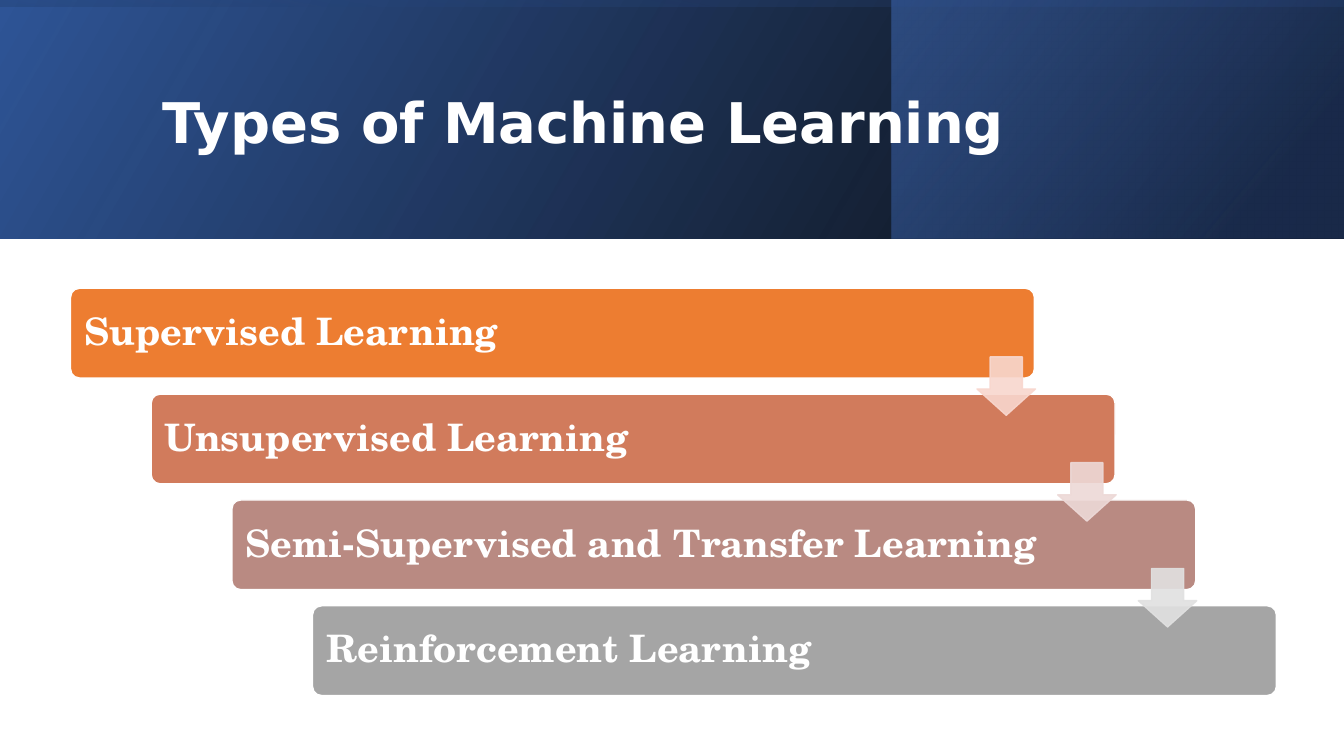
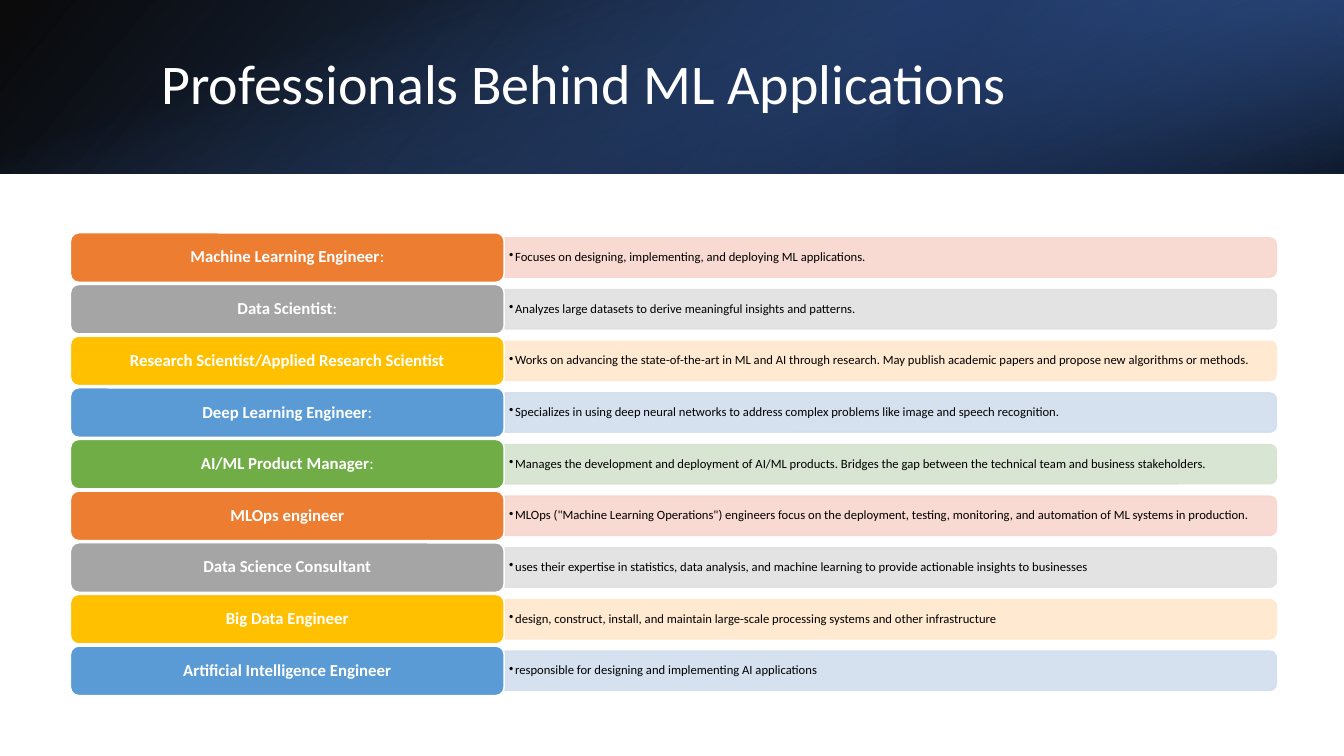
"""Build two slides on machine learning: its types and the professionals behind it."""
from lxml import etree
from pptx import Presentation
from pptx.dml.color import RGBColor
from pptx.enum import shapes, text
from pptx.oxml.ns import qn
from pptx.util import Inches, Pt

WHITE = RGBColor(0xFF, 0xFF, 0xFF)
BLACK = RGBColor(0, 0, 0)
NAVY = RGBColor(0x20, 0x38, 0x64)
DEEP_BLUE = RGBColor(0x2F, 0x55, 0x97)
ROYAL_BLUE = RGBColor(0x44, 0x72, 0xC4)
ORANGE = RGBColor(0xED, 0x7D, 0x31)
RUST = RGBColor(0xD1, 0x7B, 0x5C)
ROSE = RGBColor(0xB9, 0x8A, 0x82)
GRAY = RGBColor(0xA5, 0xA5, 0xA5)
GOLD = RGBColor(0xFF, 0xC0, 0x00)
BLUE = RGBColor(0x5B, 0x9B, 0xD5)
GREEN = RGBColor(0x70, 0xAD, 0x47)
PALE_ORANGE = RGBColor(0xF8, 0xD7, 0xCE)
PALE_ROSE = RGBColor(0xED, 0xD9, 0xD7)
PALE_GRAY = RGBColor(0xE1, 0xE1, 0xE1)
PALE_GOLD = RGBColor(0xFF, 0xE8, 0xCC)
PALE_BLUE = RGBColor(0xD2, 0xDE, 0xEF)
PALE_GREEN = RGBColor(0xD5, 0xE3, 0xCF)

SLIDE_WIDTH, SLIDE_HEIGHT = 13.33, 7.5
LEFT_EDGE = 0.7
SHAPE = shapes.MSO_SHAPE
ALIGN = text.PP_ALIGN

LEARNING_TYPES = [
    ("Supervised Learning", ORANGE),
    ("Unsupervised Learning", RUST),
    ("Semi-Supervised and Transfer Learning", ROSE),
    ("Reinforcement Learning", GRAY),
]
ARROW_COLORS = [PALE_ORANGE, PALE_ROSE, PALE_GRAY]

ROLES = [
    ("Machine Learning Engineer", ":",
     "Focuses on designing, implementing, and deploying ML applications."),
    ("Data Scientist", ":",
     "Analyzes large datasets to derive meaningful insights and patterns."),
    ("Research Scientist/Applied Research Scientist", "",
     "Works on advancing the state-of-the-art in ML and AI through research. "
     "May publish academic papers and propose new algorithms or methods."),
    ("Deep Learning Engineer", ":",
     "Specializes in using deep neural networks to address complex problems "
     "like image and speech recognition."),
    ("AI/ML Product Manager", ":",
     "Manages the development and deployment of AI/ML products. "
     "Bridges the gap between the technical team and business stakeholders."),
    ("MLOps engineer", "",
     'MLOps ("Machine Learning Operations") engineers focus on the deployment, '
     "testing, monitoring, and automation of ML systems in production."),
    ("Data Science Consultant", "",
     "uses their expertise in statistics, data analysis, and machine learning "
     "to provide actionable insights to businesses"),
    ("Big Data Engineer", "",
     "design, construct, install, and maintain large-scale processing systems "
     "and other infrastructure"),
    ("Artificial Intelligence Engineer", "",
     "responsible for designing and implementing AI applications"),
]
ROLE_COLORS = [(ORANGE, PALE_ORANGE), (GRAY, PALE_GRAY), (GOLD, PALE_GOLD),
               (BLUE, PALE_BLUE), (GREEN, PALE_GREEN)]

BASE_STOPS = [(0, BLACK, 96), (100, DEEP_BLUE, 100)]


def set_alpha(shape, *alphas):
    """Give the shape's colours, in order, their opacity in percent."""
    for color, alpha in zip(shape._element.spPr.iter(qn("a:srgbClr")), alphas):
        etree.SubElement(color, qn("a:alpha")).set("val", str(alpha * 1000))


def add_block(slide, kind, box, color=None, line=None, adjustments=()):
    """Add a preset shape without shadow at box (left, top, width, height)."""
    shape = slide.shapes.add_shape(kind, *map(Inches, box))
    shape.shadow.inherit = False
    for index, value in enumerate(adjustments):
        shape.adjustments[index] = value
    if color is not None:
        shape.fill.solid()
        shape.fill.fore_color.rgb = color
    if line is None:
        shape.line.fill.background()
    else:
        shape.line.color.rgb = line
        shape.line.width = Pt(1)
    return shape


def write(shape, words, *, size, font="Calibri", color=WHITE, bold=False, tail="",
          align=ALIGN.LEFT, inset=(0.1, 0.05), bullet=None):
    """Put one formatted paragraph, with an optional regular-weight tail, in a shape."""
    frame = shape.text_frame
    frame.word_wrap = True
    frame.vertical_anchor = text.MSO_ANCHOR.MIDDLE
    frame.margin_left = frame.margin_right = Inches(inset[0])
    frame.margin_top = frame.margin_bottom = Inches(inset[1])
    paragraph = frame.paragraphs[0]
    paragraph.alignment = align
    paragraph.line_spacing = 0.9
    if bullet:
        properties = paragraph._p.get_or_add_pPr()
        properties.set("marL", str(Inches(0.06)))
        properties.set("indent", str(-Inches(0.06)))
        etree.SubElement(properties, qn("a:buChar")).set("char", bullet)
    for part, weight in ((words, bold), (tail, False)):
        if part:
            run = paragraph.add_run()
            run.text = part
            run.font.name, run.font.size = font, Pt(size)
            run.font.bold = weight
            run.font.color.rgb = color


def add_band_layer(slide, box, stops, angle, rotation=0, flip=True):
    """Add one translucent gradient layer of the title band."""
    layer = add_block(slide, SHAPE.RECTANGLE, box)
    layer.fill.gradient()
    layer.fill.gradient_angle = 360 - angle
    for stop, (position, color, _) in zip(layer.fill.gradient_stops, stops):
        stop.position = position / 100
        stop.color.rgb = color
    set_alpha(layer, *(alpha for _, _, alpha in stops))
    layer.rotation = rotation
    if flip:
        layer._element.spPr.find(qn("a:xfrm")).set("flipH", "1")


def add_titled_slide(presentation, title, title_box, band_height, base_angle,
                     corner, sweep, **title_format):
    """Add a title-only slide whose title lies on a three-layer gradient band."""
    slide = presentation.slides.add_slide(presentation.slide_layouts[5])
    add_band_layer(slide, (0, 0, SLIDE_WIDTH, band_height), BASE_STOPS, base_angle)
    corner_left = corner.pop("left")
    add_band_layer(slide, (corner_left, 0, SLIDE_WIDTH - corner_left, band_height),
                   angle=320, **corner)
    offset = (SLIDE_WIDTH - band_height) / 2
    add_band_layer(slide, (offset, -offset, band_height, SLIDE_WIDTH), **sweep)
    heading = slide.shapes.title
    heading.left, heading.top, heading.width, heading.height = map(Inches, title_box)
    write(heading, title, size=40, **title_format)
    slide.shapes._spTree.append(heading._element)
    return slide


def build_types(presentation):
    """Draw the staircase of learning types."""
    slide = add_titled_slide(
        presentation, "Types of Machine Learning", (1.51, 0.38, 10.63, 1.72), 2.37, 330,
        corner=dict(left=8.84, stops=[(19, NAVY, 68), (100, ROYAL_BLUE, 48)]),
        sweep=dict(stops=[(23, DEEP_BLUE, 16), (99, BLACK, 45)], angle=350, rotation=270),
        font="DejaVu Sans", bold=True)
    step_x, step_y = 0.8, 1.05
    for index, (name, color) in enumerate(LEARNING_TYPES):
        box = (LEFT_EDGE + index * step_x, 2.86 + index * step_y, 9.56, 0.89)
        step = add_block(slide, SHAPE.ROUNDED_RECTANGLE, box, color, WHITE, [0.1])
        write(step, name, size=27, font="TeX Gyre Schola", bold=True, inset=(0.11, 0.11))
    for index, color in enumerate(ARROW_COLORS):
        box = (9.69 + index * step_x, 3.54 + index * step_y, 0.58, 0.58)
        arrow = add_block(slide, SHAPE.DOWN_ARROW, box, color, color, [0.55, 0.45])
        set_alpha(arrow, 90, 90)


def build_roles(presentation):
    """Draw one row per profession: a name box and a description bar."""
    slide = add_titled_slide(
        presentation, "Professionals Behind ML Applications", (1.5, 0.38, 10.98, 0.96),
        1.72, 140,
        corner=dict(left=8.89, stops=[(19, NAVY, 68), (100, ROYAL_BLUE, 79)], rotation=180),
        sweep=dict(stops=[(23, ROYAL_BLUE, 0), (99, BLACK, 74)], angle=340, rotation=90,
                   flip=False))
    first_top, last_top = 2.31, 6.41
    pitch = (last_top - first_top) / (len(ROLES) - 1)
    name_width, name_height = 4.3, 0.49
    bar_left, bar_length, bar_height, text_height = 5.01, 7.65, 0.39, 0.35
    for index, (name, tail, description) in enumerate(ROLES):
        color, pale = ROLE_COLORS[index % len(ROLE_COLORS)]
        top = first_top + index * pitch
        middle = top + name_height / 2
        bar = add_block(slide, SHAPE.ROUND_2_SAME_RECTANGLE,
                        (bar_left + (bar_length - bar_height) / 2, middle - bar_length / 2,
                         bar_height, bar_length), pale, pale)
        bar.rotation = 90
        set_alpha(bar, 90, 90)
        label = slide.shapes.add_textbox(*map(Inches, (
            bar_left, middle - text_height / 2, bar_length - 0.02, text_height)))
        write(label, description, size=9, color=BLACK, inset=(0.04, 0.02), bullet="•")
        box = add_block(slide, SHAPE.ROUNDED_RECTANGLE,
                        (LEFT_EDGE, top, name_width, name_height), color, WHITE)
        write(box, name, tail=tail, size=12, bold=True, align=ALIGN.CENTER,
              inset=(0.05, 0.03))


def main():
    """Create and save the presentation."""
    presentation = Presentation()
    presentation.slide_width = Inches(SLIDE_WIDTH)
    presentation.slide_height = Inches(SLIDE_HEIGHT)
    build_types(presentation)
    build_roles(presentation)
    presentation.save("out.pptx")


if __name__ == "__main__":
    main()
